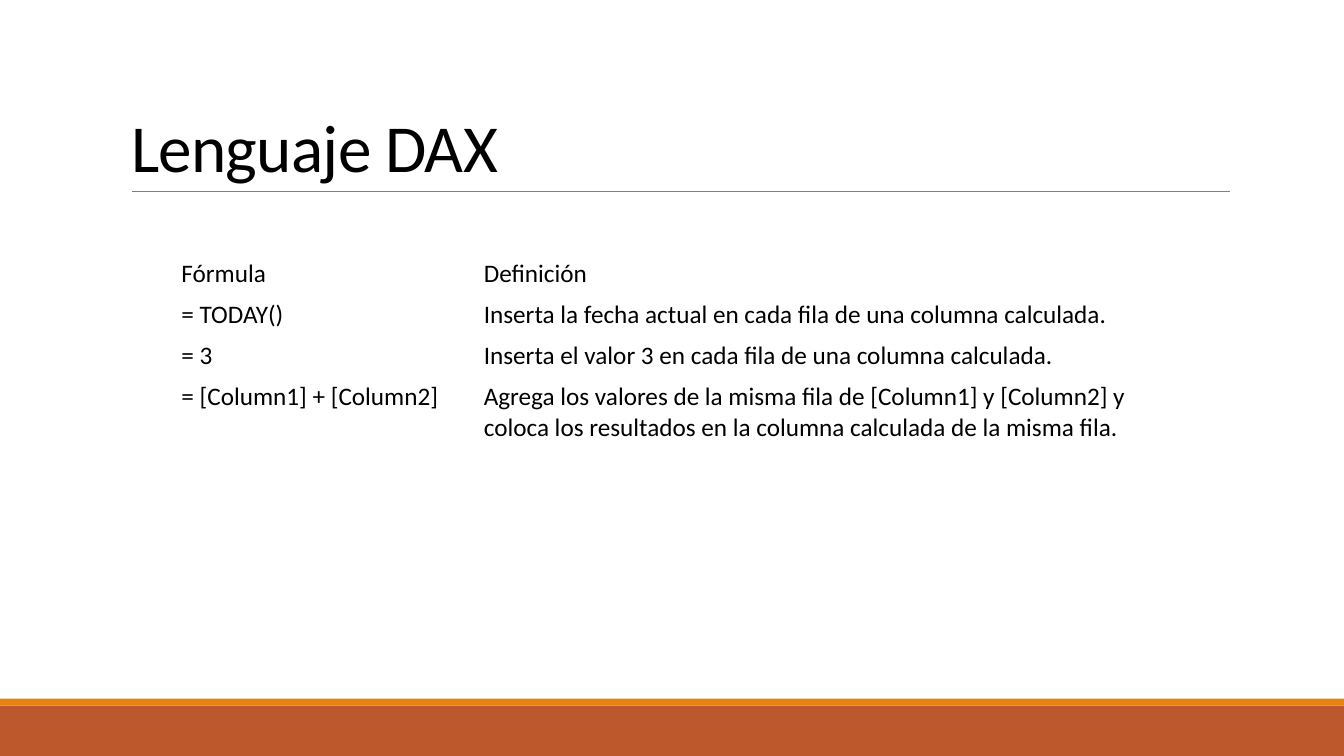
from dataclasses import dataclass

import pptx
import pptx.dml.color
import pptx.enum.shapes
import pptx.enum.text
import pptx.util
from lxml import etree
from pptx.util import Pt


@dataclass(frozen=True)
class Theme:
    font: str = "Calibri"
    title_size: float = 48
    body_size: float = 18
    text: str = "000000"
    background: str = "FFFFFF"
    rule: str = "808080"
    band: str = "BD582C"
    accent: str = "E48312"


THEME = Theme()
SLIDE_WIDTH, SLIDE_HEIGHT = 960, 540
FORMULAS = [
    ("Fórmula", "Definición"),
    ("= TODAY()", "Inserta la fecha actual en cada fila de una columna calculada."),
    ("= 3", "Inserta el valor 3 en cada fila de una columna calculada."),
    ("= [Column1] + [Column2]",
     "Agrega los valores de la misma fila de [Column1] y [Column2] y "
     "coloca los resultados en la columna calculada de la misma fila."),
]


def color(value):
    return pptx.dml.color.RGBColor.from_string(value)


def add_text(paragraph, text, size):
    run = paragraph.add_run()
    run.text = text
    run.font.name = THEME.font
    run.font.size = Pt(size)
    run.font.color.rgb = color(THEME.text)
    return run


def add_bar(slide, left, top, width, height, fill):
    bar = slide.shapes.add_shape(
        pptx.enum.shapes.MSO_SHAPE.RECTANGLE, Pt(left), Pt(top), Pt(width), Pt(height))
    bar.shadow.inherit = False
    bar.fill.solid()
    bar.fill.fore_color.rgb = color(fill)
    bar.line.fill.background()


def add_footer(slide, left, top, width, height):
    """Draw a thin accent strip above a band that fills the rest of the box."""
    strip = 5
    add_bar(slide, left, top + strip, width, height - strip, THEME.band)
    add_bar(slide, left, top, width, strip, THEME.accent)


def add_heading(slide, text, left, top, width, height):
    """Place the title at the bottom of the box, with a rule below it."""
    title = slide.shapes.title
    title.left, title.top, title.width, title.height = map(Pt, (left, top, width, height))
    frame = title.text_frame
    frame.auto_size = pptx.enum.text.MSO_AUTO_SIZE.NONE
    frame.vertical_anchor = pptx.enum.text.MSO_ANCHOR.BOTTOM
    paragraph = frame.paragraphs[0]
    paragraph.alignment = pptx.enum.text.PP_ALIGN.LEFT
    paragraph.line_spacing = 0.85
    run = add_text(paragraph, text, THEME.title_size)
    run.font._element.set("spc", "-50")

    rule_left, rule_top = left + 8, top + height
    rule = slide.shapes.add_connector(
        pptx.enum.shapes.MSO_CONNECTOR.STRAIGHT,
        Pt(rule_left), Pt(rule_top), Pt(rule_left + 784.5), Pt(rule_top))
    rule.line.color.rgb = color(THEME.rule)
    rule.line.width = Pt(0.5)
    etree.SubElement(rule._element.spPr, pptx.oxml.ns.qn("a:effectLst"))


def add_formula_table(slide, rows, left, top, width, height):
    """Give each row one line of height, and the last row what remains."""
    table = slide.shapes.add_table(
        len(rows), 2, Pt(left), Pt(top), Pt(width), Pt(height)).table
    table.first_row = table.horz_banding = False
    formula_width, row_height = 216, 29.2
    table.columns[0].width = Pt(formula_width)
    table.columns[1].width = Pt(width - formula_width)
    for row, texts in zip(table.rows, rows):
        row.height = Pt(row_height)
        for cell, text in zip(row.cells, texts):
            cell.fill.solid()
            cell.fill.fore_color.rgb = color(THEME.background)
            add_text(cell.text_frame.paragraphs[0], text, THEME.body_size)
    table.rows[len(rows) - 1].height = Pt(height - row_height * (len(rows) - 1))


def main():
    presentation = pptx.Presentation()
    presentation.slide_width = Pt(SLIDE_WIDTH)
    presentation.slide_height = Pt(SLIDE_HEIGHT)
    slide = presentation.slides.add_slide(presentation.slide_layouts.get_by_name("Title Only"))
    slide.background.fill.solid()
    slide.background.fill.fore_color.rgb = color(THEME.background)
    footer_height = 41
    add_footer(slide, 0, SLIDE_HEIGHT - footer_height, SLIDE_WIDTH, footer_height)
    add_heading(slide, "Lenguaje DAX", 86.4, 22.5, 792, 114)
    add_formula_table(slide, FORMULAS, 122.4, 181.4, 727.2, 138.8)
    presentation.save("out.pptx")


if __name__ == "__main__":
    main()
